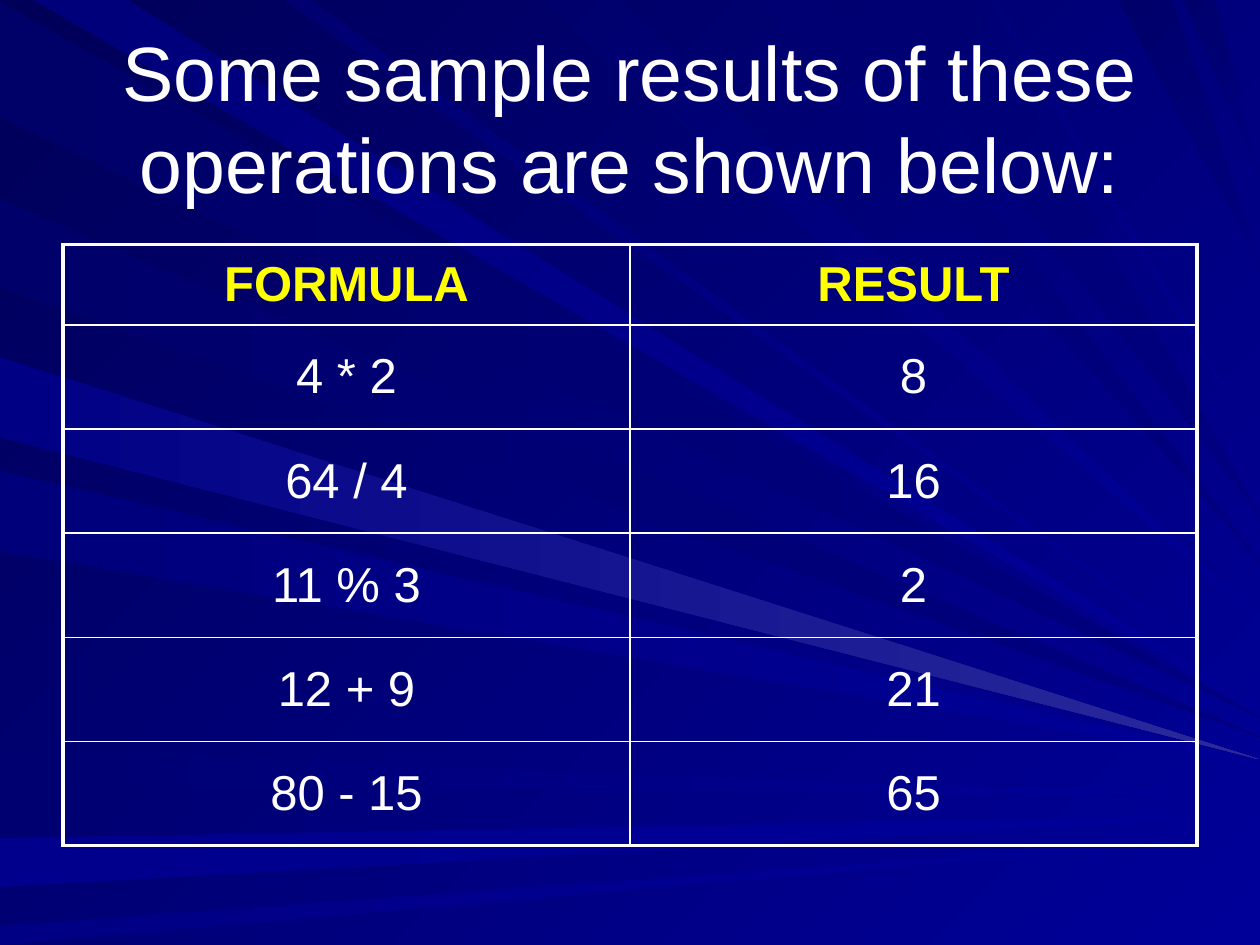
import pptx
import pptx.util
import pptx.dml.color
import pptx.enum.text
import pptx.oxml.ns
from lxml import etree

Pt = pptx.util.Pt
ALIGN = pptx.enum.text.PP_ALIGN.CENTER
MIDDLE = pptx.enum.text.MSO_ANCHOR.MIDDLE

# Content
WIDE, HIGH = 720, 540
FONT, WHITE, GOLD = "Arial", "FFFFFF", "FFFF00"
TITLE = "Some sample results of these operations are shown below:"
ROWS = [
    ("FORMULA", "RESULT"),
    ("4 * 2", "8"),
    ("64 / 4", "16"),
    ("11 % 3", "2"),
    ("12 + 9", "21"),
    ("80 - 15", "65"),
]
HEAD, BODY, COL = 46, 59.5, 324
THICK, THIN = 2.25, 1

# Rays fan out from the right edge: span on the far edge, height of the tip,
# start colour, end colour
NAVY, BLUE, PALE = "000080", "000099", "2A2A9C"
LEFT = [
    (1, 67, 410, "000069", NAVY),
    (429, 449, 455, "000071", BLUE),
    (479, 507, 466, "00008C", BLUE),
    (529, 540, 477, "000085", BLUE),
    (114, 164, 421, "00006B", NAVY),
    (269, 315, 436, "00007B", BLUE),
    (204, 250, 434, "000085", PALE),
]
TOP = [
    (19, 73, 405, "00007B", BLUE),
    (162, 178, 396, "000070", BLUE),
    (307, 354, 355, "00006D", BLUE),
    (436, 476, 321, "000073", NAVY),
    (494, 554, 295, "000073", NAVY),
    (565, 570, 257, "000078", BLUE),
    (639, 670, 151, "00006B", NAVY),
    (676, 694, 100, "00006D", NAVY),
]


def color(text):
    return pptx.dml.color.RGBColor.from_string(text)


def paint(fill, start, end, angle):
    """Fill with a gradient whose angle runs clockwise."""
    fill.gradient()
    fill.gradient_angle = -angle % 360
    for stop, tone in zip(fill.gradient_stops, (start, end)):
        stop.color.rgb = color(tone)


def beam(spots, start, end, angle):
    """Draw one ray as a closed outline."""
    first, *rest = [(Pt(x), Pt(y)) for x, y in spots]
    pen = shapes.build_freeform(*first)
    pen.add_line_segments(rest, close=True)
    ray = pen.convert_to_shape()
    ray.shadow.inherit = False
    ray.line.fill.background()
    paint(ray.fill, start, end, angle)


def write(frame, text, size, tone, bold=False):
    para = frame.paragraphs[0]
    para.alignment = ALIGN
    run = para.add_run()
    run.text = text
    font = run.font
    font.name, font.size, font.bold = FONT, Pt(size), bold
    font.color.rgb = color(tone)


def edge(cell, side, width):
    """Draw one white border of a cell."""
    tag = pptx.oxml.ns.qn
    line = etree.SubElement(cell._tc.get_or_add_tcPr(), tag("a:ln" + side),
                            w=str(Pt(width)))
    fill = etree.SubElement(line, tag("a:solidFill"))
    etree.SubElement(fill, tag("a:srgbClr"), val=WHITE)


deck = pptx.Presentation()
deck.slide_width, deck.slide_height = Pt(WIDE), Pt(HIGH)
slide = deck.slides.add_slide(deck.slide_layouts[6])
shapes = slide.shapes

# Background
paint(slide.background.fill, "000058", BLUE, 45)
for near, far, tip, start, end in LEFT:
    beam([(0, near), (0, far), (WIDE, tip)], start, end, 0)
for near, far, tip, start, end in TOP:
    beam([(near, 0), (far, 0), (WIDE, tip)], start, end, 45)

# Title
frame = shapes.add_textbox(Pt(36), Pt(21.6), Pt(648), Pt(90)).text_frame
frame.word_wrap = True
frame.vertical_anchor = MIDDLE
write(frame, TITLE, 44, WHITE)

# Table
last = len(ROWS) - 1
table = shapes.add_table(len(ROWS), 2, Pt(36), Pt(139.7), Pt(2 * COL),
                         Pt(HEAD + BODY * last)).table
table.first_row = table.horz_banding = False
for col in table.columns:
    col.width = Pt(COL)
for r, texts in enumerate(ROWS):
    top = r == 0
    table.rows[r].height = Pt(HEAD if top else BODY)
    for c, text in enumerate(texts):
        cell = table.cell(r, c)
        outer = {"L": c == 0, "R": c == 1, "T": top, "B": r == last}
        for side, out in outer.items():
            edge(cell, side, THICK if out else THIN)
        cell.fill.background()
        cell.vertical_anchor = MIDDLE
        write(cell.text_frame, text, 28, GOLD if top else WHITE, top)

deck.save("out.pptx")
